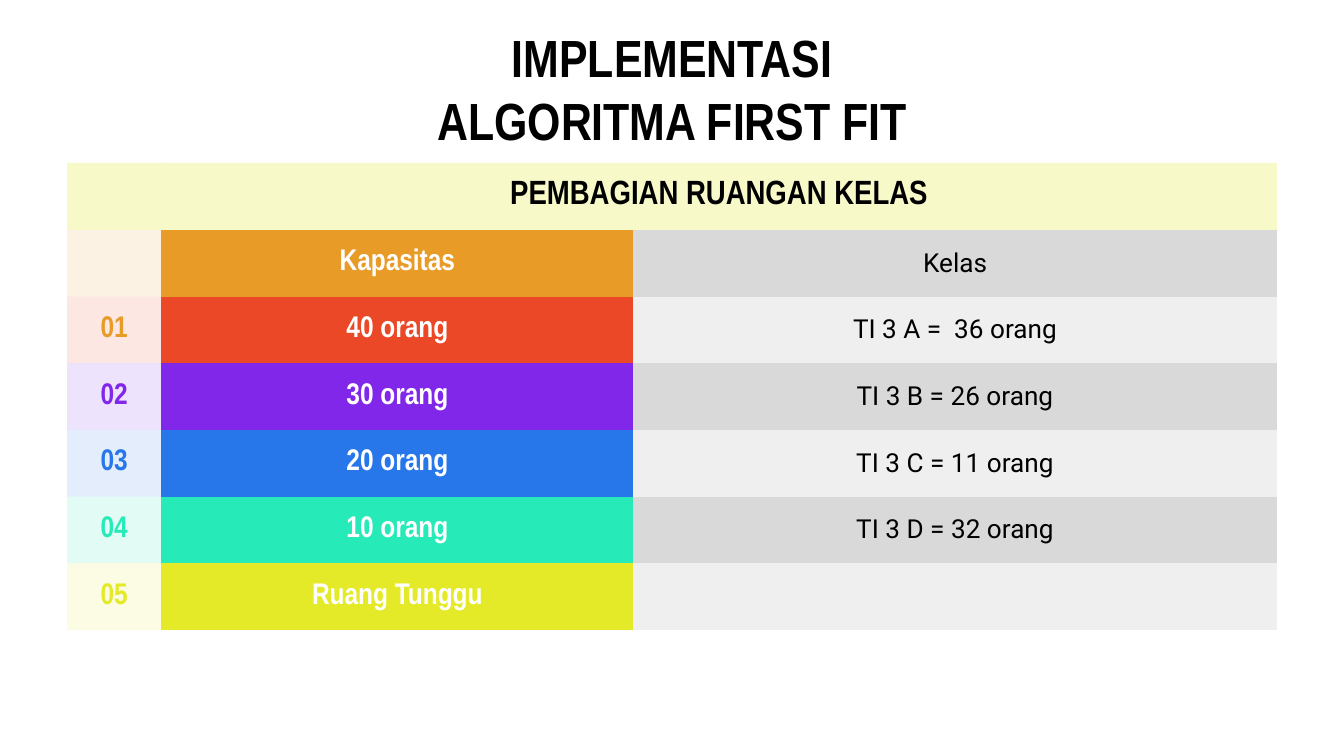
from lxml import etree
from pptx import Presentation
from pptx.dml.color import RGBColor
from pptx.enum import text
from pptx.oxml.ns import qn
from pptx.util import Cm, Pt

BLACK = RGBColor(0x00, 0x00, 0x00)
WHITE = RGBColor(0xFF, 0xFF, 0xFF)
ORANGE = RGBColor(0xE9, 0x9B, 0x27)
RED = RGBColor(0xEA, 0x48, 0x27)
PURPLE = RGBColor(0x80, 0x27, 0xEA)
BLUE = RGBColor(0x27, 0x76, 0xEA)
GREEN = RGBColor(0x26, 0xEA, 0xB8)
YELLOW = RGBColor(0xE4, 0xEA, 0x27)
DARK_GREY = RGBColor(0xD9, 0xD9, 0xD9)
LIGHT_GREY = RGBColor(0xEF, 0xEF, 0xEF)

HEADING_FONT = "Arial Narrow"
BODY_FONT = "Roboto"
PLAIN_TABLE_STYLE = "{2D5ABB26-0587-4C30-8999-92F81FD0307C}"
INSET = Cm(0.25)
COLUMN_WIDTHS = (1.78, 8.92, 12.16)
HEADER_HEIGHT, ROW_HEIGHT = 1.23, 1.26

# number, number colour, capacity, class, row colour
ROOMS = [
    ("", ORANGE, "Kapasitas", "Kelas", ORANGE),
    ("01", ORANGE, "40 orang", "TI 3 A =  36 orang", RED),
    ("02", PURPLE, "30 orang", "TI 3 B = 26 orang", PURPLE),
    ("03", BLUE, "20 orang", "TI 3 C = 11 orang", BLUE),
    ("04", GREEN, "10 orang", "TI 3 D = 32 orang", GREEN),
    ("05", YELLOW, "Ruang Tunggu", "", YELLOW),
]


def add_span(para, words, size, color, font=HEADING_FONT, bold=True):
    span = para.add_run()
    span.text = words
    span.font.size = Pt(size)
    span.font.name = font
    span.font.bold = bold
    span.font.color.rgb = color


def fill_cell(cell, color, opacity=100):
    """Fill a cell; opacity is in percent."""
    cell.fill.solid()
    cell.fill.fore_color.rgb = color
    if opacity < 100:
        tint = cell._tc.tcPr.find(".//" + qn("a:srgbClr"))
        etree.SubElement(tint, qn("a:alpha"), val=str(opacity * 1000))


def write_cell(cell, words, size, color, **style):
    cell.vertical_anchor = text.MSO_ANCHOR.MIDDLE
    cell.margin_left = cell.margin_right = INSET
    cell.margin_top = cell.margin_bottom = INSET
    para = cell.text_frame.paragraphs[0]
    para.alignment = text.PP_ALIGN.CENTER
    if words:
        add_span(para, words, size, color, **style)


def add_title(page, lines):
    box = page.shapes.add_textbox(Cm(1.27), Cm(1.14), Cm(22.86), Cm(1.04))
    frame = box.text_frame
    frame.word_wrap = True
    frame.vertical_anchor = text.MSO_ANCHOR.MIDDLE
    frame.margin_top = frame.margin_bottom = INSET
    para = frame.paragraphs[0]
    para.alignment = text.PP_ALIGN.CENTER
    for index, line in enumerate(lines):
        if index:
            para.add_line_break()
        add_span(para, line, 28, BLACK)


def add_plain_table(page, row_count):
    """Add a table without borders or banding."""
    height = HEADER_HEIGHT + ROW_HEIGHT * (row_count - 1)
    frame = page.shapes.add_table(row_count, len(COLUMN_WIDTHS), Cm(1.27), Cm(3.08),
                                  Cm(sum(COLUMN_WIDTHS)), Cm(height))
    table = frame.table
    table.first_row = table.horz_banding = False
    table._tbl.tblPr.find(qn("a:tableStyleId")).text = PLAIN_TABLE_STYLE
    for column, width in zip(table.columns, COLUMN_WIDTHS):
        column.width = Cm(width)
    for index, row in enumerate(table.rows):
        row.height = Cm(ROW_HEIGHT if index else HEADER_HEIGHT)
    return table


def add_room_table(page):
    table = add_plain_table(page, len(ROOMS) + 1)
    for column in range(len(COLUMN_WIDTHS)):
        fill_cell(table.cell(0, column), YELLOW, 25)
    table.cell(0, 1).merge(table.cell(0, 2))
    write_cell(table.cell(0, 1), "PEMBAGIAN RUANGAN KELAS", 18, BLACK)

    for row, (number, number_color, capacity, group, color) in enumerate(ROOMS, 1):
        number_cell, capacity_cell, group_cell = table.rows[row].cells
        fill_cell(number_cell, color, 13)
        write_cell(number_cell, number, 16, number_color)
        fill_cell(capacity_cell, color)
        write_cell(capacity_cell, capacity, 16, WHITE)
        fill_cell(group_cell, DARK_GREY if row % 2 else LIGHT_GREY)
        write_cell(group_cell, group, 14, BLACK, font=BODY_FONT, bold=False)


def main():
    deck = Presentation()
    deck.slide_width, deck.slide_height = Cm(25.4), Cm(14.29)
    page = deck.slides.add_slide(deck.slide_layouts[6])
    add_title(page, ["IMPLEMENTASI", "ALGORITMA FIRST FIT"])
    add_room_table(page)
    deck.save("out.pptx")


if __name__ == "__main__":
    main()
